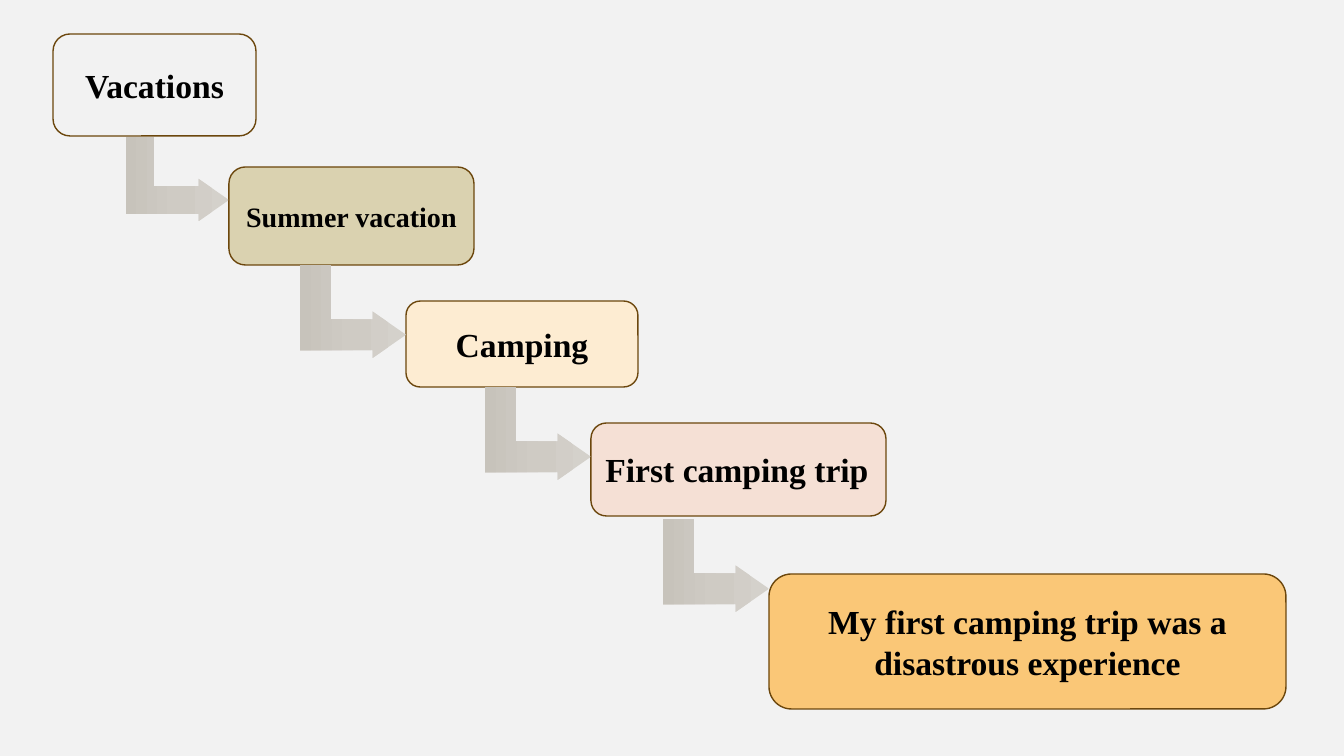
from copy import deepcopy

from pptx import Presentation
from pptx.dml.color import RGBColor
from pptx.enum.shapes import MSO_SHAPE
from pptx.enum.text import MSO_ANCHOR, PP_ALIGN
from pptx.oxml.ns import qn
from pptx.util import Emu, Pt

ROUNDED = MSO_SHAPE.ROUNDED_RECTANGLE
BENT_ARROW = MSO_SHAPE.BENT_UP_ARROW
MIDDLE = MSO_ANCHOR.MIDDLE
LEFT, CENTER = PP_ALIGN.LEFT, PP_ALIGN.CENTER

WIDTH, HEIGHT = 1344, 756
SCALE = 12192000 / WIDTH
COLORS = {
    "background": "F2F2F2",
    "outline": "6C470D",
    "text": "000000",
    "vacations": "F2F2F2",
    "summer": "DAD2B0",
    "camping": "FDECD2",
    "first trip": "F5E0D5",
    "experience": "FAC777",
    "arrow light": "D4D1CB",
    "arrow middle": "CFCBC4",
    "arrow dark": "C7C3BB",
}


def px(value):
    return Emu(round(value * SCALE))


def color(name):
    return RGBColor.from_string(COLORS[name])


class TopicSlide:
    font = "Times New Roman"

    def __init__(self, presentation):
        self.slide = presentation.slides.add_slide(presentation.slide_layouts[6])
        background = self.slide.background.fill
        background.solid()
        background.fore_color.rgb = color("background")

    def shape(self, kind, left, top, width, height):
        shape = self.slide.shapes.add_shape(
            kind, px(left), px(top), px(width), px(height))
        shape.shadow.inherit = False
        return shape

    def topic(self, text, fill, frame, size, align):
        box = self.shape(ROUNDED, *frame)
        box.fill.solid()
        box.fill.fore_color.rgb = color(fill)
        box.line.color.rgb = color("outline")
        box.line.width = Pt(1)
        box.text_frame.word_wrap = True
        box.text_frame.vertical_anchor = MIDDLE
        paragraph = box.text_frame.paragraphs[0]
        paragraph.alignment = align
        run = paragraph.add_run()
        run.text = text
        run.font.name = self.font
        run.font.size = Pt(size)
        run.font.bold = True
        run.font.color.rgb = color("text")

    def arrow(self, right, top, width, height):
        """Down-then-right arrow; the size is as seen after the quarter turn."""
        center_x, center_y = right - width / 2, top + height / 2
        arrow = self.shape(BENT_ARROW, center_x - height / 2,
                           center_y - width / 2, height, width)
        arrow.rotation = 90
        for index, value in enumerate((0.33, 0.25, 0.36)):
            arrow.adjustments[index] = value
        arrow.line.fill.background()
        arrow.fill.gradient()
        arrow.fill.gradient_angle = 270
        # A third stop goes between the two default ones
        stop_list = arrow._element.spPr.find(qn("a:gradFill")).find(qn("a:gsLst"))
        stop_list.insert(1, deepcopy(stop_list[0]))
        shades = ("arrow light", "arrow middle", "arrow dark")
        for index, (stop, shade) in enumerate(zip(arrow.fill.gradient_stops, shades)):
            stop.position = index / 2
            stop.color.rgb = color(shade)


# Topics from broad to narrow: text, fill, frame, font size, alignment
TOPICS = [
    ("Vacations", "vacations", (53, 34, 203, 102), 24, CENTER),
    ("Summer vacation", "summer", (229, 167, 245, 98), 20, CENTER),
    ("Camping", "camping", (406, 301, 232, 86), 24, CENTER),
    ("First camping trip", "first trip", (591, 423, 295, 93), 24, LEFT),
    ("My first camping trip was a disastrous experience", "experience",
     (769, 574, 517, 135), 24, CENTER),
]
# Arrow top, width and height; each one ends at the next topic's left side
ARROWS = [(137, 103, 84), (265, 106, 93), (387, 106, 93), (519, 106, 93)]


def main():
    presentation = Presentation()
    presentation.slide_width, presentation.slide_height = px(WIDTH), px(HEIGHT)
    slide = TopicSlide(presentation)

    # Topic boxes
    for topic in TOPICS:
        slide.topic(*topic)

    # Arrows between the topics
    for (_, _, next_frame, _, _), arrow in zip(TOPICS[1:], ARROWS):
        slide.arrow(next_frame[0], *arrow)

    presentation.save("out.pptx")


if __name__ == "__main__":
    main()
